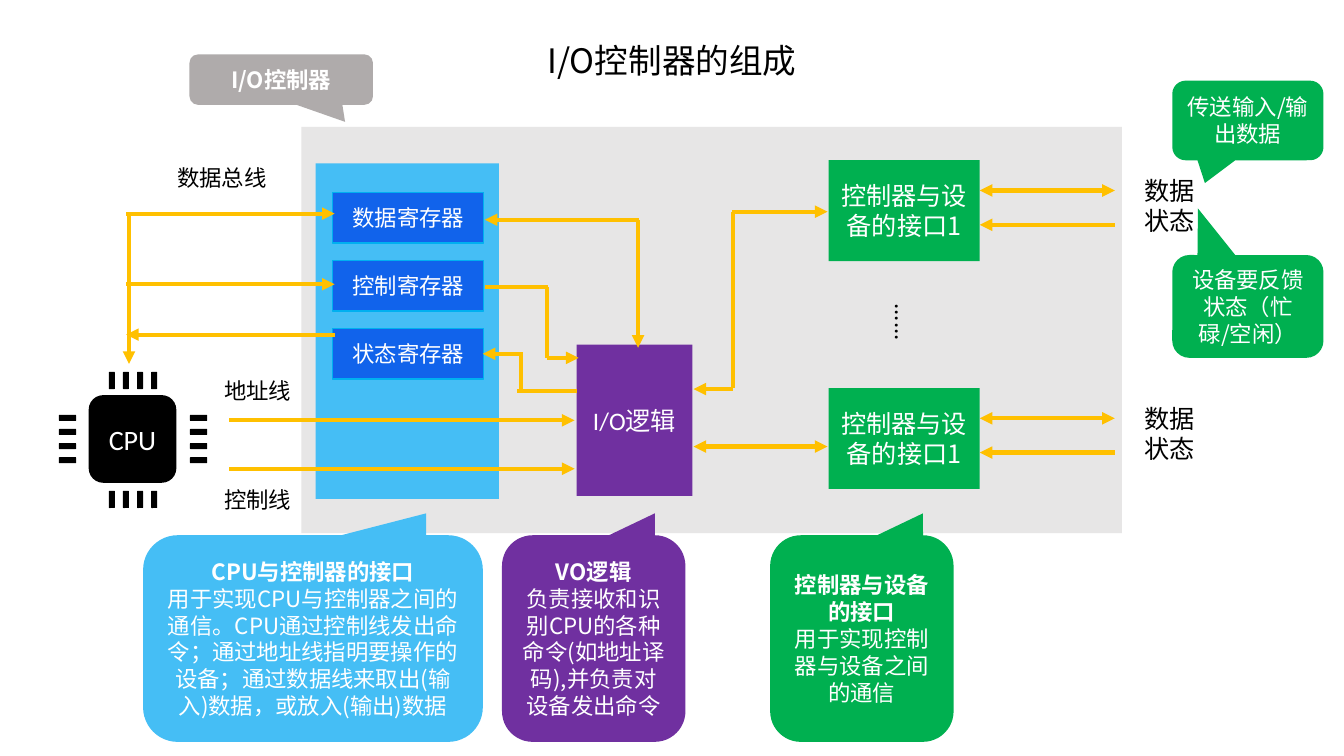
import pptx
import pptx.dml.color
import pptx.enum.shapes
import pptx.enum.text
import pptx.oxml.ns
import pptx.util
from lxml import etree

SHAPE = pptx.enum.shapes.MSO_SHAPE
ALIGN = pptx.enum.text.PP_ALIGN
ANCHOR = pptx.enum.text.MSO_ANCHOR
qn = pptx.oxml.ns.qn

BLUE, VIOLET, GREEN = "45BEF5", "7030A0", "00B050"
WHITE, BLACK, AMBER = "FFFFFF", "000000", "FFC000"


def color(value):
    return pptx.dml.color.RGBColor.from_string(value)


def cells(count):
    """Length of a number of grid cells; the grid has ten cells per inch."""
    return pptx.util.Inches(count / 10)


class Diagram:
    font = "Noto Sans CJK SC"
    wire = 3

    def __init__(self, deck):
        self.page = deck.slides.add_slide(deck.slide_layouts[6])

    def set_text(self, box, text, size, ink, heading=False, latin=None):
        """Fill a box with centred lines; a heading makes the first one bold."""
        frame = box.text_frame
        for index, line in enumerate(text.split("\n")):
            para = frame.paragraphs[0] if index == 0 else frame.add_paragraph()
            para.text = line
            para.alignment = ALIGN.CENTER
            para.font.name = latin or self.font
            para.font.size = pptx.util.Pt(size)
            para.font.bold = heading and index == 0
            para.font.color.rgb = color(ink)
            east = etree.Element(qn("a:ea"), typeface=self.font)
            para._p.pPr.find(qn("a:defRPr")).find(qn("a:latin")).addnext(east)

    def block(self, place, fill, text="", size=16, kind=SHAPE.RECTANGLE, adjust=(),
              border=None, heading=False, latin=None, group=None):
        owner = group or self.page
        box = owner.shapes.add_shape(kind, *map(cells, place))
        box.shadow.inherit = False
        box.fill.solid()
        box.fill.fore_color.rgb = color(fill)
        if border:
            box.line.color.rgb = color(border)
            box.line.width = pptx.util.Pt(1)
        else:
            box.line.fill.background()
        for index, value in enumerate(adjust):
            box.adjustments[index] = value
        if text:
            box.text_frame.word_wrap = True
            box.text_frame.vertical_anchor = ANCHOR.MIDDLE
            self.set_text(box, text, size, WHITE, heading, latin)
        return box

    def callout(self, place, fill, tip, text, heading=False):
        return self.block(place, fill, text, kind=SHAPE.ROUNDED_RECTANGULAR_CALLOUT,
                          adjust=(*tip, 0.167), heading=heading)

    def label(self, place, text, size=16, wrap=True, turn=0):
        box = self.page.shapes.add_textbox(*map(cells, place))
        box.text_frame.word_wrap = wrap
        box.rotation = turn
        self.set_text(box, text, size, BLACK)

    def arrow(self, start, end, heads=("headEnd",)):
        line = self.page.shapes.add_connector(
            pptx.enum.shapes.MSO_CONNECTOR.STRAIGHT, *map(cells, (*start, *end)))
        line.line.color.rgb = color(AMBER)
        line.line.width = pptx.util.Pt(self.wire)
        outline = line._element.spPr.find(qn("a:ln"))
        for head in heads:
            etree.SubElement(outline, qn("a:" + head), type="triangle")
        etree.SubElement(line._element.spPr, qn("a:effectLst"))

    def chip(self):
        group = self.page.shapes.add_group_shape()
        self.block((8.8, 39.2, 8.7, 8.7), BLACK, "CPU", 20, SHAPE.ROUNDED_RECTANGLE,
                   latin="Calibri", group=group)
        for step in range(4):
            across, down = 10.8 + 1.4 * step, 40.6 + 1.4 * step
            pins = [(across, 36.9, 0), (across, 48.7, 0),
                    (6.4, down, 270), (19.4, down, 270)]
            for left, top, turn in pins:
                pin = self.block((left, top, 0.6, 1.7), BLACK, adjust=(0.1,),
                                 kind=SHAPE.ROUNDED_RECTANGLE, group=group)
                pin.rotation = turn


def main():
    deck = pptx.Presentation()
    deck.slide_width, deck.slide_height = cells(133.33), cells(75)
    diagram = Diagram(deck)

    # Controller body and processor
    diagram.block((29.9, 12.6, 81.4, 40.3), "E7E6E6")
    diagram.block((31.3, 16.2, 18.2, 33.3), BLUE)
    diagram.chip()

    # Registers, logic and device interfaces
    for row, name in enumerate(("数据寄存器", "控制寄存器", "状态寄存器")):
        diagram.block((33, 19.1 + 6.75 * row, 15, 5), "1163EB", name, border="00B0F0")
    diagram.block((57.2, 34.2, 11.5, 15), VIOLET, "I/O逻辑", 18, latin="Calibri")
    for top in (15.9, 38.5):
        diagram.block((82.2, top, 15, 10), GREEN, "控制器与设备的接口1", 18)
        diagram.arrow((110.6, top + 3), (97.2, top + 3), ("headEnd", "tailEnd"))
        diagram.arrow((97.2, top + 6.4), (110.6, top + 6.4))
        diagram.label((112.5, top + 1, 7, 7.1), "数据\n状态", 18, wrap=False)

    # Title and bus names
    diagram.label((53.3, 3.5, 26.7, 5), "I/O控制器的组成", 24)
    diagram.label((15.6, 15.8, 12.8, 3.7), "数据总线")
    diagram.label((21.2, 36.9, 8.7, 3.7), "地址线")
    diagram.label((21.2, 47.7, 8.7, 3.7), "控制线")
    diagram.label((86.3, 30.1, 6.8, 3.7), "......", turn=90)

    # Arrows, each with its head at the first point
    for start, end in [
        ((57, 41.7), (22.7, 41.7)), ((57, 46.5), (22.7, 46.5)),
        ((12.8, 36.1), (12.8, 21.2)), ((33.2, 21.2), (12.5, 21.2)),
        ((33.2, 28.2), (12.5, 28.2)), ((12.5, 33.2), (33.2, 33.2)),
        ((47.9, 35.1), (51.9, 35.1)), ((48.1, 21.8), (63.4, 21.8)),
        ((63.3, 34.5), (63.3, 21.8)), ((57.4, 35.5), (54.3, 35.5)),
        ((68.8, 38.6), (72.7, 38.6)), ((82.1, 21), (72.6, 21)),
    ]:
        diagram.arrow(start, end)
    diagram.arrow((82.1, 44.3), (68.8, 44.3), ("headEnd", "tailEnd"))

    # Plain segments of the bent wires
    for start, end in [
        ((51.7, 35.1), (51.7, 38.8)), ((51.3, 38.8), (57.2, 38.8)),
        ((48.1, 28.5), (54.4, 28.5)), ((54.3, 28.5), (54.3, 35.5)),
        ((72.7, 21), (72.7, 38.5)),
    ]:
        diagram.arrow(start, end, ())

    # Explanations below the controller
    for left, width, fill, text in [
        (14.2, 33.7, BLUE, "CPU与控制器的接口\n用于实现CPU与控制器之间的通信。CPU通过控制线发出命令；"
         "通过地址线指明要操作的设备；通过数据线来取出(输入)数据，或放入(输出)数据"),
        (49.8, 18.2, VIOLET, "VO逻辑\n负责接收和识别CPU的各种命令(如地址译码),并负责对设备发出命令"),
        (76.4, 18.2, GREEN, "控制器与设备的接口\n用于实现控制器与设备之间的通信"),
    ]:
        diagram.callout((left, 53.1, width, 20.5), fill, (0.333, -0.606), text, True)

    # Remaining callouts
    diagram.callout((18.8, 5.4, 18.2, 5), "AFABAB", (0.348, 0.838), "I/O控制器", True)
    diagram.callout((116.3, 8, 15, 7.9), GREEN, (-0.284, 0.786), "传送输入/输出数据")
    diagram.callout((116.3, 25.3, 15, 10.2), GREEN, (-0.33, -0.953),
                    "设备要反馈状态（忙碌/空闲）")

    deck.save("out.pptx")


if __name__ == "__main__":
    main()
